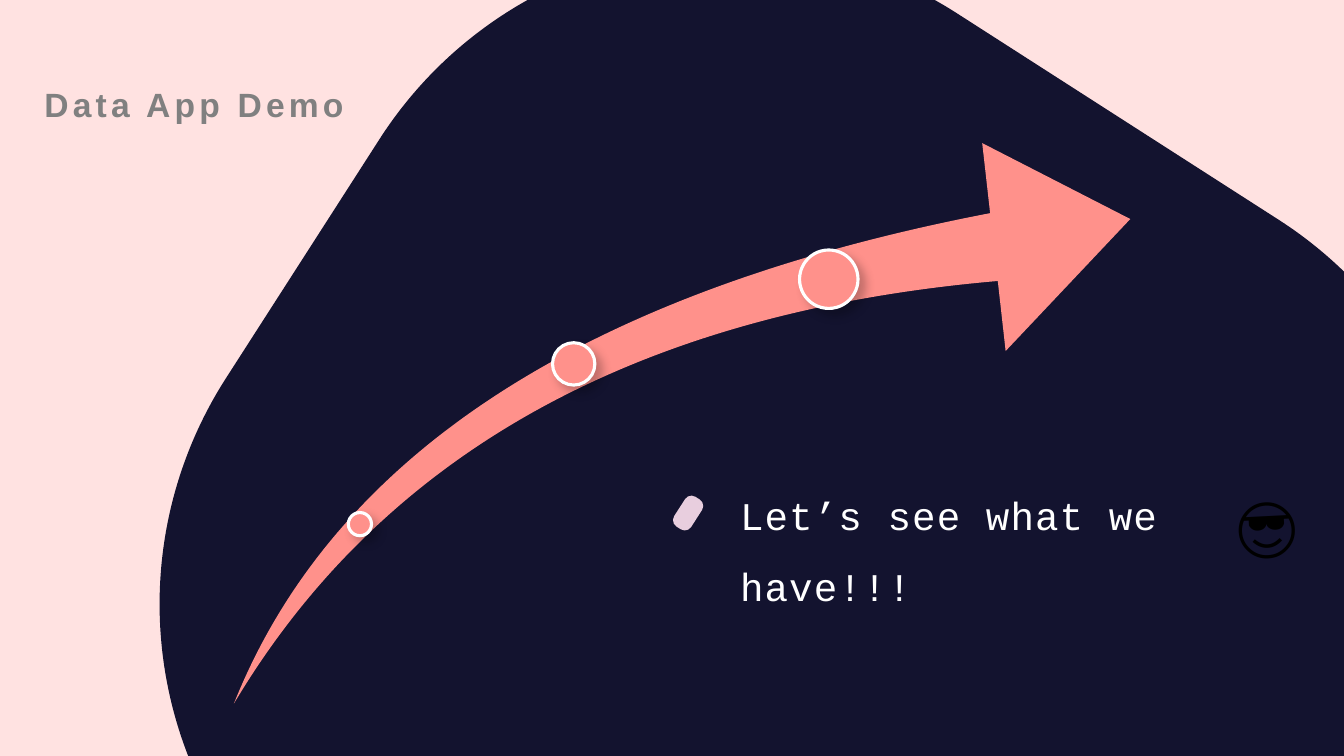
import pptx
import pptx.dml.color
import pptx.enum.shapes
import pptx.enum.text
import pptx.oxml
import pptx.oxml.ns
import pptx.util

Inches = pptx.util.Inches
RGBColor = pptx.dml.color.RGBColor
MSO_SHAPE = pptx.enum.shapes.MSO_SHAPE

PINK = RGBColor(0xFF, 0xE2, 0xE1)
NAVY = RGBColor(0x13, 0x13, 0x2F)
CORAL = RGBColor(0xFF, 0x91, 0x8B)
LILAC = RGBColor(0xE8, 0xCE, 0xDE)
GRAY = RGBColor(0x80, 0x80, 0x80)
WHITE = RGBColor(0xFF, 0xFF, 0xFF)
BLACK = RGBColor(0x00, 0x00, 0x00)

TILT = 302.7
CORNER = 0.373

# Milestones on the arrow: centre relative to the arrow's box, and diameter
MILESTONES = [(1.25, 3.78, 0.23), (3.37, 2.19, 0.42), (5.9, 1.35, 0.58)]


def place(shape, left, top, width, height):
    shape.left, shape.top = Inches(left), Inches(top)
    shape.width, shape.height = Inches(width), Inches(height)


def write_text(shape, text, font_name, size, color, bold=False, spacing=0, line_spacing=None):
    """Fill a shape with one left-aligned, formatted paragraph."""
    text_frame = shape.text_frame
    text_frame.word_wrap = True
    text_frame.auto_size = pptx.enum.text.MSO_AUTO_SIZE.SHAPE_TO_FIT_TEXT
    text_frame.vertical_anchor = pptx.enum.text.MSO_ANCHOR.TOP
    paragraph = text_frame.paragraphs[0]
    paragraph.alignment = pptx.enum.text.PP_ALIGN.LEFT
    paragraph.space_before = pptx.util.Pt(0)
    paragraph.line_spacing = line_spacing
    run = paragraph.add_run()
    run.text = text
    run.font.name = font_name
    run.font.size = pptx.util.Pt(size)
    run.font.bold = bold
    run.font.color.rgb = color
    run._r.get_or_add_rPr().set("spc", str(round(spacing * 100)))
    return paragraph


def add_filled_shape(slide, kind, box, color, adjustments=(), rotation=0):
    left, top, width, height = map(Inches, box)
    shape = slide.shapes.add_shape(kind, left, top, width, height)
    shape.shadow.inherit = False
    shape.fill.solid()
    shape.fill.fore_color.rgb = color
    shape.line.fill.background()
    shape.rotation = rotation
    for index, value in enumerate(adjustments):
        shape.adjustments[index] = value
    return shape


def add_soft_shadow(shape):
    """Give a shape a faint shadow towards the lower right."""
    effects = shape._element.spPr.find(pptx.oxml.ns.qn("a:effectLst"))
    effects.append(pptx.oxml.parse_xml(
        f'<a:outerShdw {pptx.oxml.ns.nsdecls("a")} blurRad="{pptx.util.Pt(7)}" '
        f'dist="{pptx.util.Pt(5.9)}" dir="{45 * 60000}" algn="tl" rotWithShape="0">'
        '<a:srgbClr val="000000"><a:alpha val="23000"/></a:srgbClr></a:outerShdw>'))


def add_backdrop(slide, box):
    slide.background.fill.solid()
    slide.background.fill.fore_color.rgb = PINK
    panel = add_filled_shape(slide, MSO_SHAPE.ROUNDED_RECTANGLE, box, NAVY, [CORNER], TILT)
    # Send the panel behind the placeholders
    slide.shapes._spTree.insert(2, panel._element)


def add_title(slide, box):
    title = slide.shapes.title
    place(title, *box)
    write_text(title, "Data App Demo", "Arial", 24, GRAY, bold=True, spacing=3)


def add_growth_arrow(slide, box):
    left, top = box[:2]
    add_filled_shape(slide, MSO_SHAPE.SWOOSH_ARROW, box, CORAL, [0.121, 0.25])
    for center_x, center_y, diameter in MILESTONES:
        circle_box = (left + center_x - diameter / 2, top + center_y - diameter / 2,
                      diameter, diameter)
        circle = add_filled_shape(slide, MSO_SHAPE.OVAL, circle_box, CORAL)
        circle.line.color.rgb = WHITE
        circle.line.width = pptx.util.Pt(2.25)
        add_soft_shadow(circle)


def add_message(slide, box):
    left, top, width, height = box
    # Tilted marker to the left of the text
    add_filled_shape(slide, MSO_SHAPE.ROUNDED_RECTANGLE,
                     (left - 0.59, top + 0.4, 0.35, 0.2), LILAC, [CORNER], TILT)

    # Message in the body placeholder, without its bullet and indent
    body = slide.placeholders[1]
    place(body, left, top, width, height)
    paragraph = write_text(body, "Let’s see what we have!!!", "Courier New", 28, WHITE,
                           spacing=0.8, line_spacing=1.5)
    properties = paragraph._p.get_or_add_pPr()
    properties.set("marL", "0")
    properties.set("indent", "0")
    properties.append(pptx.oxml.parse_xml(f'<a:buNone {pptx.oxml.ns.nsdecls("a")}/>'))

    # Emoji to the right of the text
    emoji = slide.shapes.add_textbox(Inches(left + 4.92), Inches(top + 0.15),
                                     Inches(0.87), Inches(0.91))
    emoji.rotation = 357
    write_text(emoji, "😎", "Noto Sans CJK SC", 48, BLACK)


def main():
    presentation = pptx.Presentation()
    presentation.slide_width = Inches(13.33)
    presentation.slide_height = Inches(7.5)
    slide = presentation.slides.add_slide(presentation.slide_layouts[1])
    add_backdrop(slide, (2.53, -0.21, 11.11, 12.08))
    add_title(slide, (0.34, 0.78, 3.67, 0.5))
    add_growth_arrow(slide, (2.32, 1.42, 8.89, 5.56))
    add_message(slide, (7.24, 4.59, 5.06, 0.8))
    presentation.save("out.pptx")


if __name__ == "__main__":
    main()
